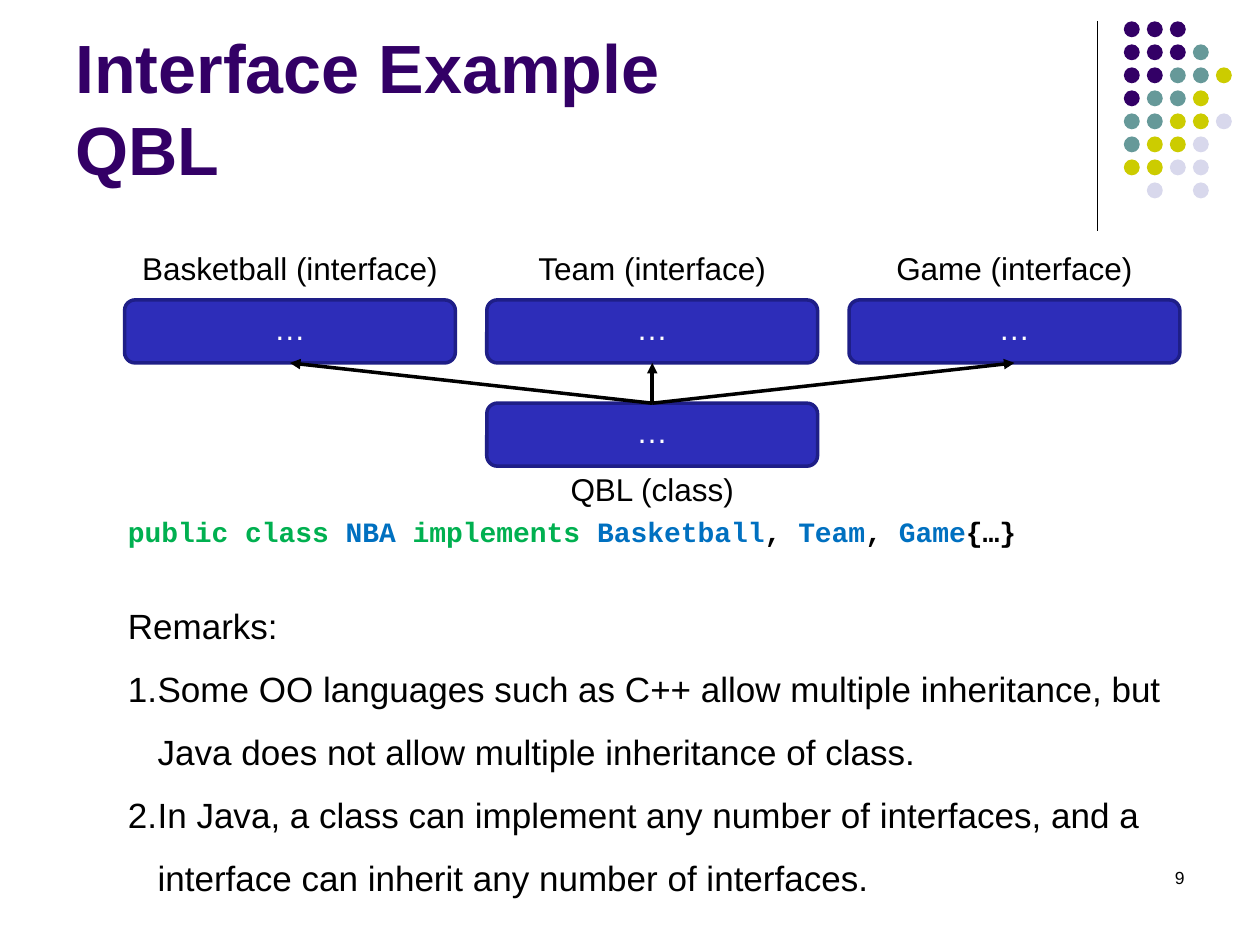
from lxml import etree
from pptx import Presentation, util as u
from pptx.dml.color import RGBColor
from pptx.enum import shapes, text
from pptx.oxml.ns import qn

BLACK = RGBColor(0, 0, 0)
WHITE = RGBColor(255, 255, 255)
PURPLE = RGBColor(0x33, 0x00, 0x66)
TEAL = RGBColor(0x66, 0x99, 0x99)
OLIVE = RGBColor(0xCC, 0xCC, 0x00)
LAVENDER = RGBColor(0xD8, 0xD8, 0xEC)
BLUE = RGBColor(0x2D, 0x2D, 0xB9)
NAVY = RGBColor(0x1E, 0x1E, 0x87)
KEYWORD = RGBColor(0x00, 0xB0, 0x50)
TYPE_NAME = RGBColor(0x00, 0x70, 0xC0)

DOT_COLORS = {"P": PURPLE, "T": TEAL, "O": OLIVE, "L": LAVENDER}
DOT_ROWS = ["PPP", "PPPT", "PPTTO", "PTTO", "TTOOL", "TOOL", "OOLL", " L L"]
DOT_PITCH = 13.15
DOT_SIZE = 9.1

BOX_WIDTH, BOX_HEIGHT = 189, 36
FIRST_LEFT, COLUMN_PITCH = 71.2, 207
INTERFACE_TOP, CLASS_TOP = 171.4, 230.4
LABEL_WIDTH, LABEL_HEIGHT = 205, 29
INTERFACES = ["Basketball", "Team", "Game"]
LEAGUE = "QBL"

TITLE_FONT = {"name": "Arial", "size": u.Pt(39), "bold": True}
LABEL_FONT = {"name": "Arial", "size": u.Pt(18)}
BODY_FONT = {"name": "Arial", "size": u.Pt(20)}
CODE_FONT = {"name": "Courier New", "size": u.Pt(16), "bold": True}
NUMBER_FONT = {"name": "Arial", "size": u.Pt(10)}
CENTER = {"alignment": text.PP_ALIGN.CENTER}
LIST_INDENT = 17

CODE = [
    ("public class ", KEYWORD), ("NBA ", TYPE_NAME), ("implements ", KEYWORD),
    ("Basketball", TYPE_NAME), (", ", BLACK), ("Team", TYPE_NAME),
    (", ", BLACK), ("Game", TYPE_NAME), ("{…}", BLACK),
]
REMARKS = [
    "Some OO languages such as C++ allow multiple inheritance, but Java does "
    "not allow multiple inheritance of class.",
    "In Java, a class can implement any number of interfaces, and a interface "
    "can inherit any number of interfaces.",
]


def apply(target, values):
    """Set every attribute in values on the target."""
    for name, value in values.items():
        setattr(target, name, value)


def write(paragraph, spans, font, layout):
    """Fill a paragraph with coloured spans."""
    apply(paragraph, layout)
    for words, color in spans:
        span = paragraph.add_run()
        span.text = words
        apply(span.font, font)
        span.font.color.rgb = color


def add_text(page, frame, paragraphs, font, layout, anchor=text.MSO_ANCHOR.TOP):
    """Add a wrapping text box with one list of spans per paragraph."""
    box = page.shapes.add_textbox(*map(u.Pt, frame))
    apply(box.text_frame, {"word_wrap": True, "vertical_anchor": anchor})
    for index, spans in enumerate(paragraphs):
        para = box.text_frame.add_paragraph() if index else box.text_frame.paragraphs[0]
        write(para, spans, font, layout)
    return box


def number(paragraph):
    """Turn a paragraph into a numbered item with a hanging indent."""
    properties = paragraph._p.get_or_add_pPr()
    indent = int(u.Pt(LIST_INDENT))
    properties.set("marL", str(indent))
    properties.set("indent", str(-indent))
    etree.SubElement(properties, qn("a:buFont"), typeface="Arial")
    etree.SubElement(properties, qn("a:buAutoNum"), type="arabicPeriod")


def add_dots(page):
    """Draw the grid of coloured dots in the corner."""
    for row, colors in enumerate(DOT_ROWS):
        for column, key in enumerate(colors):
            if key == " ":
                continue
            left, top = 642.2 + column * DOT_PITCH, 12.2 + row * DOT_PITCH
            dot = page.shapes.add_shape(
                shapes.MSO_SHAPE.OVAL, *map(u.Pt, (left, top, DOT_SIZE, DOT_SIZE)))
            dot.shadow.inherit = False
            dot.fill.solid()
            dot.fill.fore_color.rgb = DOT_COLORS[key]
            dot.line.fill.background()


def add_node(page, label, left, top, label_top):
    """Draw a diagram box with its centred label and return the box."""
    node = page.shapes.add_shape(
        shapes.MSO_SHAPE.FLOWCHART_ALTERNATE_PROCESS,
        *map(u.Pt, (left, top, BOX_WIDTH, BOX_HEIGHT)))
    node.shadow.inherit = False
    node.fill.solid()
    node.fill.fore_color.rgb = BLUE
    node.line.color.rgb = NAVY
    node.line.width = u.Pt(2)
    node.text_frame.vertical_anchor = text.MSO_ANCHOR.TOP
    write(node.text_frame.paragraphs[0], [("…", WHITE)], LABEL_FONT, CENTER)
    label_left = left + (BOX_WIDTH - LABEL_WIDTH) / 2
    add_text(page, (label_left, label_top, LABEL_WIDTH, LABEL_HEIGHT),
             [[(label, BLACK)]], LABEL_FONT, CENTER)
    return node


def add_line(page, start, end, width):
    """Draw a plain black line without a shadow."""
    line = page.shapes.add_connector(
        shapes.MSO_CONNECTOR.STRAIGHT, *map(u.Pt, start + end))
    line.line.color.rgb = BLACK
    line.line.width = u.Pt(width)
    etree.SubElement(line._element.spPr, qn("a:effectLst"))
    return line


def add_arrow(page, source, target):
    """Join the top of the source to the bottom of the target."""
    arrow = add_line(page, (0, 0), (0, 0), 2)
    arrow.begin_connect(source, 0)
    arrow.end_connect(target, 2)
    etree.SubElement(arrow.line._get_or_add_ln(), qn("a:tailEnd"), type="triangle")


def add_diagram(page):
    """Draw the interfaces, the class and the arrows between them."""
    nodes = [
        add_node(page, f"{name} (interface)", FIRST_LEFT + index * COLUMN_PITCH,
                 INTERFACE_TOP, 138.8)
        for index, name in enumerate(INTERFACES)
    ]
    league = add_node(page, f"{LEAGUE} (class)", FIRST_LEFT + COLUMN_PITCH,
                      CLASS_TOP, 265)
    for node in nodes:
        add_arrow(page, league, node)


def add_remarks(page):
    """Add the heading and the numbered remarks."""
    lines = [[(words, BLACK)] for words in ["Remarks:", *REMARKS]]
    box = add_text(page, (66, 330, 618, 187), lines, BODY_FONT, {"line_spacing": 1.5})
    for para in box.text_frame.paragraphs[1:]:
        number(para)


def main():
    """Build the slide and save it."""
    deck = Presentation()
    apply(deck, {"slide_width": u.Pt(720), "slide_height": u.Pt(540)})
    page = deck.slides.add_slide(deck.slide_layouts[6])
    add_line(page, (627, 12), (627, 132), 0.75)
    add_dots(page)
    add_text(page, (516, 492, 168, 36), [[("9", BLACK)]], NUMBER_FONT,
             {"alignment": text.PP_ALIGN.RIGHT})
    add_text(page, (36, 9.4, 594, 102),
             [[("Interface Example", PURPLE)], [(LEAGUE, PURPLE)]],
             TITLE_FONT, {}, text.MSO_ANCHOR.BOTTOM)
    add_text(page, (66, 294, 570, 32), [CODE], CODE_FONT, {"line_spacing": 0.8})
    add_remarks(page)
    add_diagram(page)
    deck.save("out.pptx")


if __name__ == "__main__":
    main()
